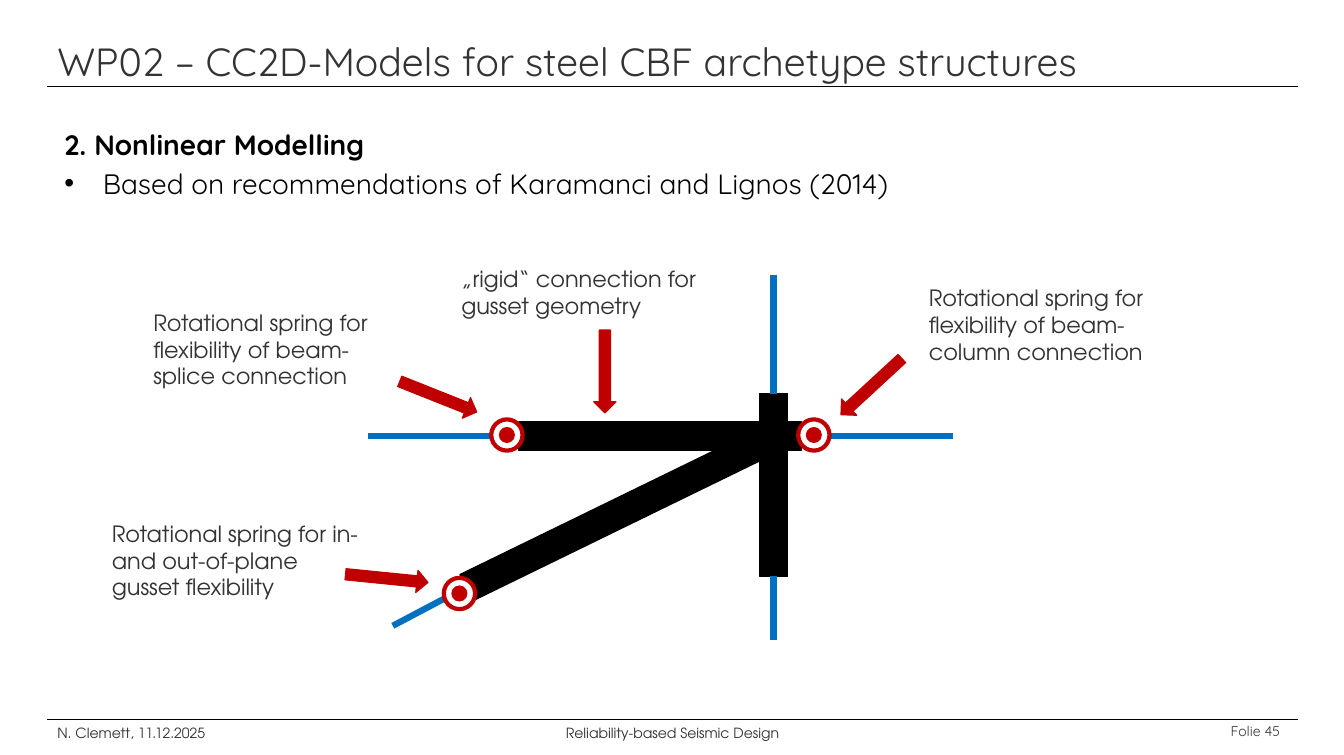
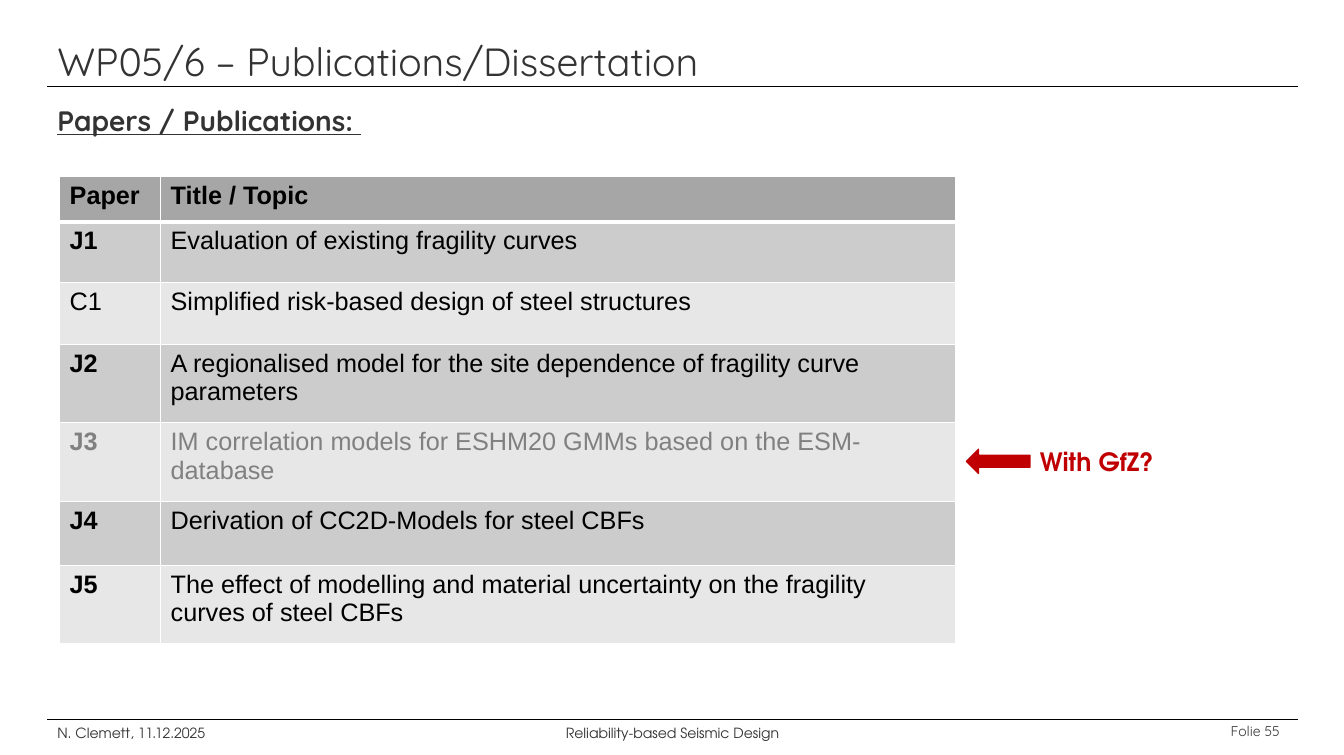
"""Build two slides on frame models and planned papers."""
from dataclasses import dataclass
from typing import NamedTuple

from lxml.etree import SubElement
from pptx import Presentation
from pptx.dml.color import RGBColor
from pptx.enum.shapes import MSO_CONNECTOR, MSO_SHAPE
from pptx.enum.text import PP_ALIGN
from pptx.oxml.ns import qn
from pptx.shapes.autoshape import Shape
from pptx.shapes.connector import Connector
from pptx.slide import Slide
from pptx.table import _Cell
from pptx.text.text import _Paragraph
from pptx.util import Inches, Pt


@dataclass(frozen=True)
class Theme:
    ink: str = "333333"
    black: str = "000000"
    white: str = "FFFFFF"
    red: str = "C00000"
    blue: str = "0070C0"
    grey: str = "808080"
    head: str = "A6A6A6"
    bands: tuple[str, str] = ("CCCCCC", "E7E7E7")
    sans: str = "Quicksand"
    round: str = "TeX Gyre Adventor"
    grid: str = "Arial"
    title: float = 28
    body: float = 20
    table: float = 18
    label: float = 16
    foot: float = 10
    edge: float = 0.85


T = Theme()


class Box(NamedTuple):
    left: float
    top: float
    width: float
    height: float


class Style(NamedTuple):
    font: str
    size: float
    color: str = T.ink
    bold: bool = False
    under: bool = False


class Label(NamedTuple):
    text: str
    box: Box
    arrow: Box
    turn: float


class Paper(NamedTuple):
    code: str
    topic: str
    height: float
    color: str = T.black
    bold: bool = True


TITLE = Style(T.sans, T.title)
FOOT = Style(T.round, T.foot)
LABEL = Style(T.round, T.label)

BEAM = Box(5.14, 4.18, 2.8, 0.28)
POST = Box(7.52, 3.9, 0.28, 1.81)
BRACE = Box(4.45, 4.95, 3.32, 0.29)
RODS = [
    (8.22, 4.32, 9.44, 4.32),
    (3.89, 6.2, 4.61, 5.82),
    (3.64, 4.32, 4.86, 4.32),
]
SPRINGS = [(4.55, 5.88), (5.02, 4.31), (8.06, 4.31)]
LABELS = [
    Label("„rigid“ connection for gusset geometry",
          Box(4.47, 2.58, 2.68, 0.64), Box(5.58, 3.57, 0.82, 0.22), 90),
    Label("Rotational spring for flexibility of beam-column connection",
          Box(9.1, 2.77, 2.68, 0.91), Box(8.22, 3.72, 0.82, 0.22), 137.3),
    Label("Rotational spring for flexibility of beam-splice connection",
          Box(1.42, 3.01, 2.68, 0.91), Box(3.93, 3.82, 0.82, 0.22), 21.7),
    Label("Rotational spring for in- and out-of-plane gusset flexibility",
          Box(1.01, 5.1, 2.68, 0.91), Box(3.42, 5.62, 0.82, 0.22), 5.7),
]
PAPERS = [
    Paper("J1", "Evaluation of existing fragility curves", 0.6),
    Paper("C1", "Simplified risk-based design of steel structures", 0.61, bold=False),
    Paper("J2", "A regionalised model for the site dependence of fragility curve "
          "parameters", 0.78),
    Paper("J3", "IM correlation models for ESHM20 GMMs based on the ESM-database",
          0.78, T.grey),
    Paper("J4", "Derivation of CC2D-Models for steel CBFs", 0.63),
    Paper("J5", "The effect of modelling and material uncertainty on the fragility "
          "curves of steel CBFs", 0.78),
]


def rgb(color: str) -> RGBColor:
    return RGBColor.from_string(color)


def place(box: Box) -> list[Inches]:
    return [Inches(part) for part in box]


def write(para: _Paragraph, text: str, style: Style) -> None:
    para.text = text
    font = para.font
    font.name = style.font
    font.size = Pt(style.size)
    font.bold = style.bold
    font.underline = style.under
    font.color.rgb = rgb(style.color)


def add_text(slide: Slide, box: Box, text: str, style: Style) -> Shape:
    shape = slide.shapes.add_textbox(*place(box))
    shape.text_frame.word_wrap = True
    write(shape.text_frame.paragraphs[0], text, style)
    return shape


def add_form(shapes, kind: MSO_SHAPE, box: Box, fill: str,
             line: str | None = None, width: float = T.edge,
             turn: float = 0) -> Shape:
    shape = shapes.add_shape(kind, *place(box))
    shape.shadow.inherit = False
    shape.rotation = turn
    shape.fill.solid()
    shape.fill.fore_color.rgb = rgb(fill)
    if line:
        shape.line.color.rgb = rgb(line)
        shape.line.width = Pt(width)
    else:
        shape.line.fill.background()
    return shape


def add_line(slide: Slide, ends: tuple[float, float, float, float],
             color: str, width: float) -> Connector:
    line = slide.shapes.add_connector(
        MSO_CONNECTOR.STRAIGHT, *(Inches(end) for end in ends))
    line.line.color.rgb = rgb(color)
    line.line.width = Pt(width)
    SubElement(line._element.spPr, qn("a:effectLst"))
    return line


def add_arrow(slide: Slide, box: Box, turn: float) -> None:
    add_form(slide.shapes, MSO_SHAPE.RIGHT_ARROW, box, T.red, T.red, turn=turn)


def add_spring(slide: Slide, x: float, y: float) -> None:
    group = slide.shapes.add_group_shape()
    for size, fill, line in ((0.31, T.white, T.red), (0.16, T.red, None)):
        box = Box(x - size / 2, y - size / 2, size, size)
        add_form(group.shapes, MSO_SHAPE.OVAL, box, fill, line, 3)


def add_bullet(para: _Paragraph) -> None:
    props = para._p.get_or_add_pPr()
    props.set("marL", str(Inches(0.38)))
    props.set("indent", str(-Inches(0.38)))
    SubElement(props, qn("a:buFont")).set("typeface", T.grid)
    SubElement(props, qn("a:buChar")).set("char", "•")


def add_page(deck, title: str, number: int) -> Slide:
    slide = deck.slides.add_slide(deck.slide_layouts[6])
    for y in (0.86, 7.13):
        add_line(slide, (0.47, y, 12.85, y), T.black, 0.75)
    mid = add_text(slide, Box(4.71, 7.13, 3.9, 0.27),
                   "Reliability-based Seismic Design", FOOT)
    mid.text_frame.paragraphs[0].alignment = PP_ALIGN.CENTER
    add_text(slide, Box(12.09, 7.11, 0.87, 0.27), f"Folie {number}",
             Style(T.sans, T.foot))
    add_text(slide, Box(0.47, 7.13, 2.49, 0.27), "N. Clemett, 11.12.2025", FOOT)
    add_text(slide, Box(0.47, 0.32, 12.37, 0.63), title, TITLE)
    return slide


def add_model(deck) -> None:
    slide = add_page(deck, "WP02 – CC2D-Models for steel CBF archetype structures", 45)
    intro = add_text(slide, Box(0.54, 1.21, 12.37, 0.9), "2. Nonlinear Modelling",
                     Style(T.sans, T.body, T.black, True))
    point = intro.text_frame.add_paragraph()
    add_bullet(point)
    point.space_before = Pt(4)
    write(point, "Based on recommendations of Karamanci and Lignos (2014)",
          Style(T.sans, T.body, T.black))

    bars = [add_form(slide.shapes, MSO_SHAPE.RECTANGLE, box, T.black, T.black, turn=turn)
            for box, turn in ((BEAM, 0), (POST, 0), (BRACE, 334))]
    post = bars[1]
    mid = POST.left + POST.width / 2
    base = POST.top + POST.height
    upper = add_line(slide, (mid, 2.72, mid, POST.top), T.blue, 4.5)
    upper.end_connect(post, 0)
    lower = add_line(slide, (mid, base, mid, 6.34), T.blue, 4.5)
    lower.begin_connect(post, 2)
    for ends in RODS:
        add_line(slide, ends, T.blue, 4.5)
    for x, y in SPRINGS:
        add_spring(slide, x, y)
    for label in LABELS:
        note = add_text(slide, label.box, label.text, LABEL)
        note.fill.solid()
        note.fill.fore_color.rgb = rgb(T.white)
        add_arrow(slide, label.arrow, label.turn)


def fill_cell(cell: _Cell, text: str, style: Style, fill: str, base: float) -> None:
    write(cell.text_frame.paragraphs[0], text, style)
    props = cell._tc.get_or_add_tcPr()
    for side, width in (("L", 1), ("R", 1), ("T", 1), ("B", base)):
        edge = SubElement(props, qn(f"a:ln{side}"), w=str(Pt(width)))
        paint = SubElement(edge, qn("a:solidFill"))
        SubElement(paint, qn("a:srgbClr"), val=T.white)
    cell.fill.solid()
    cell.fill.fore_color.rgb = rgb(fill)


def add_papers(deck) -> None:
    slide = add_page(deck, "WP05/6 – Publications/Dissertation", 55)
    add_text(slide, Box(0.47, 0.98, 12.37, 0.45), "Papers / Publications: ",
             Style(T.sans, T.body, T.ink, True, True))
    rows = [Paper("Paper", "Title / Topic", 0.45), *PAPERS]
    box = Box(0.59, 1.75, 8.87, sum(row.height for row in rows))
    table = slide.shapes.add_table(len(rows), 2, *place(box)).table
    table.horz_banding = False
    for col, width in zip(table.columns, (1, 7.87)):
        col.width = Inches(width)
    for i, row in enumerate(rows):
        table.rows[i].height = Inches(row.height)
        head = i == 0
        fill = T.head if head else T.bands[(i - 1) % 2]
        for j, (text, bold) in enumerate(((row.code, row.bold), (row.topic, head))):
            fill_cell(table.cell(i, j), text, Style(T.grid, T.table, row.color, bold),
                      fill, 3 if head else 1)
    add_text(slide, Box(10.2, 4.37, 1.42, 0.4), "With GfZ?",
             Style(T.round, T.table, T.red, True))
    add_arrow(slide, Box(9.57, 4.45, 0.63, 0.24), 180)


def main() -> None:
    deck = Presentation()
    deck.slide_width = Inches(13.31)
    deck.slide_height = Inches(7.48)
    add_model(deck)
    add_papers(deck)
    deck.save("out.pptx")


if __name__ == "__main__":
    main()
